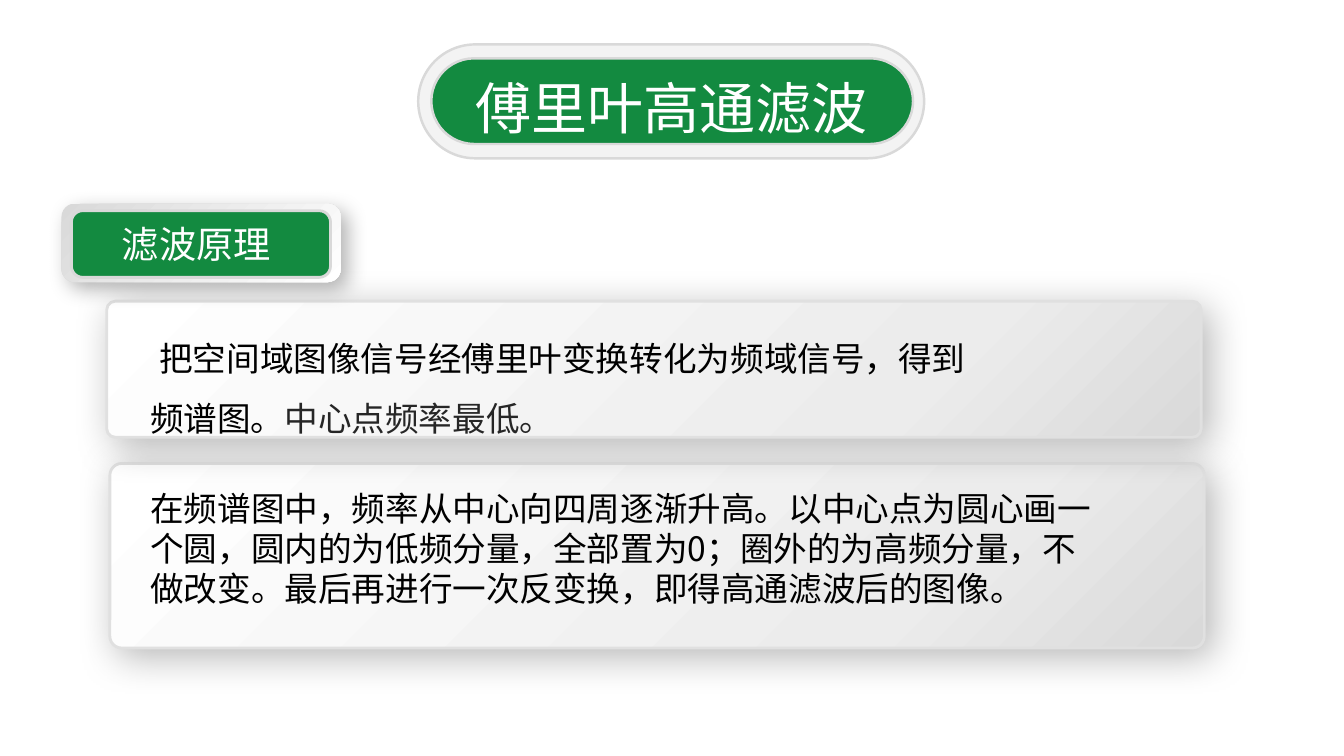
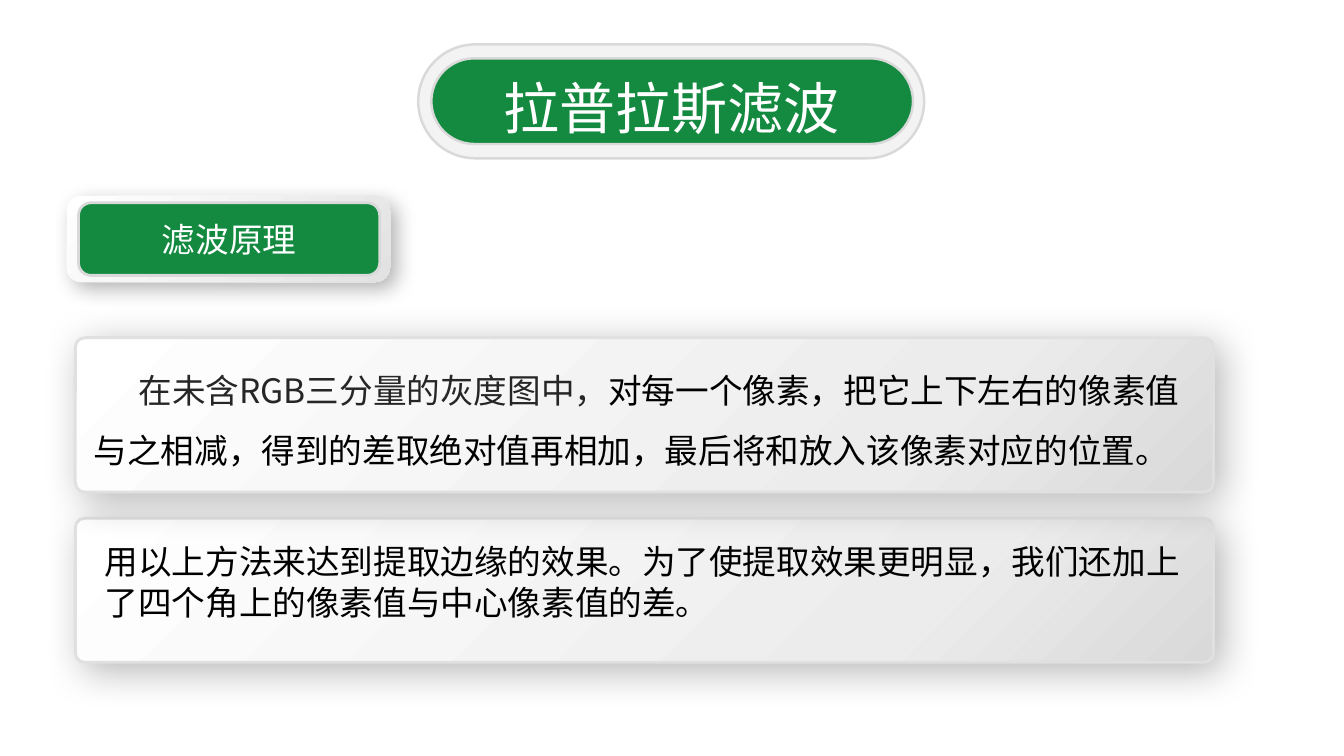
from typing import Any, NamedTuple

from lxml.etree import SubElement as Sub
from pptx import Presentation
from pptx.dml.color import RGBColor
from pptx.enum.lang import MSO_LANGUAGE_ID as Lang
from pptx.enum.shapes import MSO_SHAPE as Kind
from pptx.enum.text import MSO_ANCHOR as Anchor, MSO_AUTO_SIZE as Size, PP_ALIGN as Align
from pptx.oxml.ns import qn
from pptx.util import Cm, Pt

SANS, ARIAL = "Noto Sans CJK SC", "Arial"
GREEN, WHITE, BLACK, DARK = "138A40", "FFFFFF", "000000", "262626"
PALE, RIM, EDGE = "F3F3F3", "D9D9D9", "E0E0E0"
SHEEN = ((0, WHITE), (73, "ECECEC"), (100, RIM))


class Box(NamedTuple):
    left: float
    top: float
    width: float
    height: float


class Run(NamedTuple):
    text: str
    color: str = BLACK
    font: str = SANS
    size: float = 24


class Inset(NamedTuple):
    left: float = 0
    top: float = 0
    right: float = 0
    bottom: float = 0


class Panel(NamedTuple):
    box: Box
    inset: Inset
    runs: list[Run]
    format: dict[str, Any] = {}
    indent: float = 0


class Label(NamedTuple):
    frame: Box
    plate: Box
    tint: tuple
    run: Run
    inset: Inset = Inset()


class Page(NamedTuple):
    title: str
    label: Label
    panels: list[Panel]


TITLE = Box(11.68, 1.73, 10.49, 1.96)
RING = Box(10.54, 1.12, 12.75, 2.87)
PILL = Box(10.87, 1.47, 12.14, 2.16)
WIDE = {"line_spacing": 1.5}

PAGES = [
    Page(
        "傅里叶高通滤波",
        Label(Box(1.55, 5.13, 7.04, 1.98), Box(1.8, 5.31, 6.53, 1.68),
              ((0, RIM), (100, WHITE)), Run("滤波原理", WHITE, size=26.6), Inset(right=0.23)),
        [
            Panel(Box(2.69, 7.59, 27.58, 3.43), Inset(1.03, 0.35, 5.73),
                  [Run("把空间域图像信号经傅里叶变换转化为频域信号，得到频谱图。", font=ARIAL),
                   Run("中心点频率最低。", DARK)], WIDE, 0.23),
            Panel(Box(2.77, 11.68, 27.58, 4.65), Inset(0.93, 0.52, 2.58),
                  [Run("在频谱图中，频率从中心向四周逐渐升高。以中心点为圆心画一个圆，"
                       "圆内的为低频分量，全部置为0；圈外的为高频分量，不做改变。"
                       "最后再进行一次反变换，即得高通滤波后的图像。")]),
        ],
    ),
    Page(
        "拉普拉斯滤波",
        Label(Box(1.68, 4.93, 8.15, 2.18), Box(1.98, 5.11, 7.59, 1.83),
              ((0, WHITE), (100, "E2E2E2")), Run("滤波原理", WHITE)),
        [
            Panel(Box(1.9, 8.51, 28.68, 3.89), Inset(0.39, 0.23, 0.59),
                  [Run("在未含RGB三分量的灰度图中，", DARK),
                   Run("对每一个像素，把它上下左右的像素值与之相减，得到的差取绝对值再相加，"
                       "最后将和放入该像素对应的位置。")], WIDE, 1.13),
            Panel(Box(1.9, 13.06, 28.68, 3.63), Inset(0.67, 0.51, 0.59),
                  [Run("用以上方法来达到提取边缘的效果。为了使提取效果更明显，"
                       "我们还加上了四个角上的像素值与中心像素值的差。", font=ARIAL)]),
        ],
    ),
]


def rgb(color: str) -> RGBColor:
    return RGBColor.from_string(color)


def apply(target: Any, values: dict[str, Any]) -> None:
    for name, value in values.items():
        setattr(target, name, value)


def place(shape: Any, box: Box) -> None:
    apply(shape, {name: Cm(value) for name, value in box._asdict().items()})


def blend(shape: Any, stops: tuple) -> None:
    """Fill with a gradient running down to the right."""
    shape.fill.gradient()
    shape.fill.gradient_angle = 315
    group = shape.element.spPr.find(qn("a:gradFill")).find(qn("a:gsLst"))
    for stop in list(group):
        group.remove(stop)
    for spot, color in stops:
        stop = Sub(group, qn("a:gs"), pos=str(spot * 1000))
        Sub(stop, qn("a:srgbClr"), val=color)


def shade(shape: Any, alpha: int, blur: int) -> None:
    """Cast a black shadow down to the right."""
    effects = shape.element.spPr.find(qn("a:effectLst"))
    cast = Sub(effects, qn("a:outerShdw"), blurRad=str(Pt(blur)), dist=str(Pt(7)),
               dir=str(45 * 60000), algn="tl", rotWithShape="0")
    color = Sub(cast, qn("a:srgbClr"), val=BLACK)
    Sub(color, qn("a:alpha"), val=str(alpha * 1000))


def block(slide: Any, box: Box, fill: str | tuple, edge: str = "",
          weight: float = 2, round: float = 0.17) -> Any:
    shape = slide.shapes.add_shape(Kind.ROUNDED_RECTANGLE, *map(Cm, box))
    shape.adjustments[0] = round
    shape.shadow.inherit = False
    if isinstance(fill, str):
        shape.fill.solid()
        shape.fill.fore_color.rgb = rgb(fill)
    else:
        blend(shape, fill)
    if edge:
        shape.line.color.rgb = rgb(edge)
        shape.line.width = Pt(weight)
    else:
        shape.line.fill.background()
    return shape


def write(shape: Any, runs: list[Run], inset: Inset, anchor: Anchor, align: Align,
          format: dict[str, Any] = {}, indent: float = 0) -> None:
    frame = shape.text_frame
    apply(frame, {"word_wrap": True, "auto_size": Size.NONE, "vertical_anchor": anchor})
    apply(frame, {f"margin_{side}": Cm(gap) for side, gap in inset._asdict().items()})
    para = frame.paragraphs[0]
    apply(para, {"alignment": align, **format})
    if indent:
        para._p.get_or_add_pPr().set("indent", str(Cm(indent)))
    for item in runs:
        run = para.add_run()
        run.text = item.text
        apply(run.font, {"name": item.font, "size": Pt(item.size),
                         "language_id": Lang.SIMPLIFIED_CHINESE})
        run.font.color.rgb = rgb(item.color)
        Sub(run._r.get_or_add_rPr(), qn("a:ea"), typeface=SANS)


def head(slide: Any, text: str) -> None:
    block(slide, RING, PALE, RIM, 1.75, 0.5)
    block(slide, PILL, GREEN, RIM, 1.75, 0.5)
    title = slide.shapes.title
    title.element.getparent().append(title.element)
    write(title, [Run(text, WHITE, size=40)], Inset(), Anchor.MIDDLE, Align.CENTER)


def tag(slide: Any, label: Label) -> None:
    shade(block(slide, label.frame, label.tint), 30, 15)
    plate = block(slide, label.plate, GREEN, RIM)
    write(plate, [label.run], label.inset, Anchor.MIDDLE, Align.CENTER)


def card(slide: Any, panel: Panel) -> None:
    shape = block(slide, panel.box, SHEEN, EDGE, round=0.064)
    shade(shape, 28, 28)
    write(shape, panel.runs, panel.inset, Anchor.TOP, Align.LEFT, panel.format, panel.indent)


def main() -> None:
    deck = Presentation()
    apply(deck, {"slide_width": Cm(33.87), "slide_height": Cm(19.05)})
    layout = deck.slide_layouts[5]
    place(layout.placeholders[0], TITLE)
    for page in PAGES:
        slide = deck.slides.add_slide(layout)
        for panel in reversed(page.panels):
            card(slide, panel)
        tag(slide, page.label)
        head(slide, page.title)
    deck.save("out.pptx")


if __name__ == "__main__":
    main()
